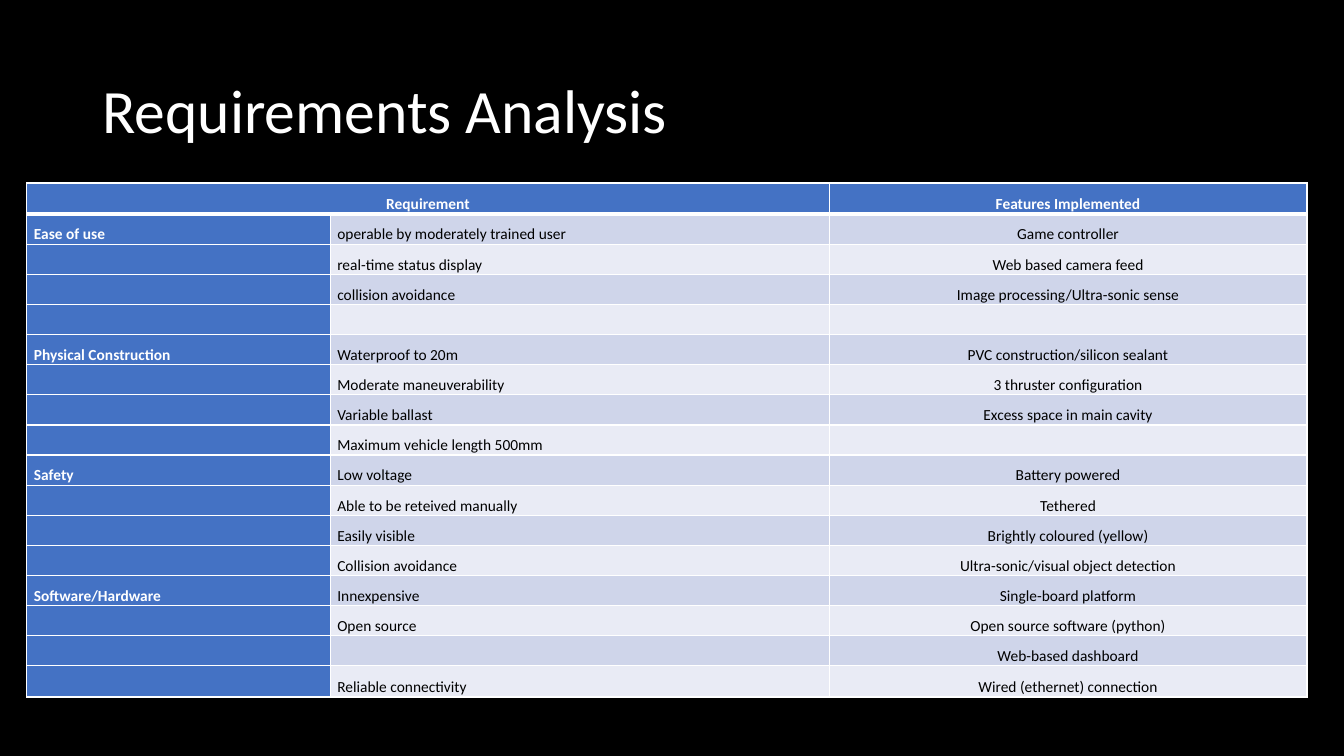
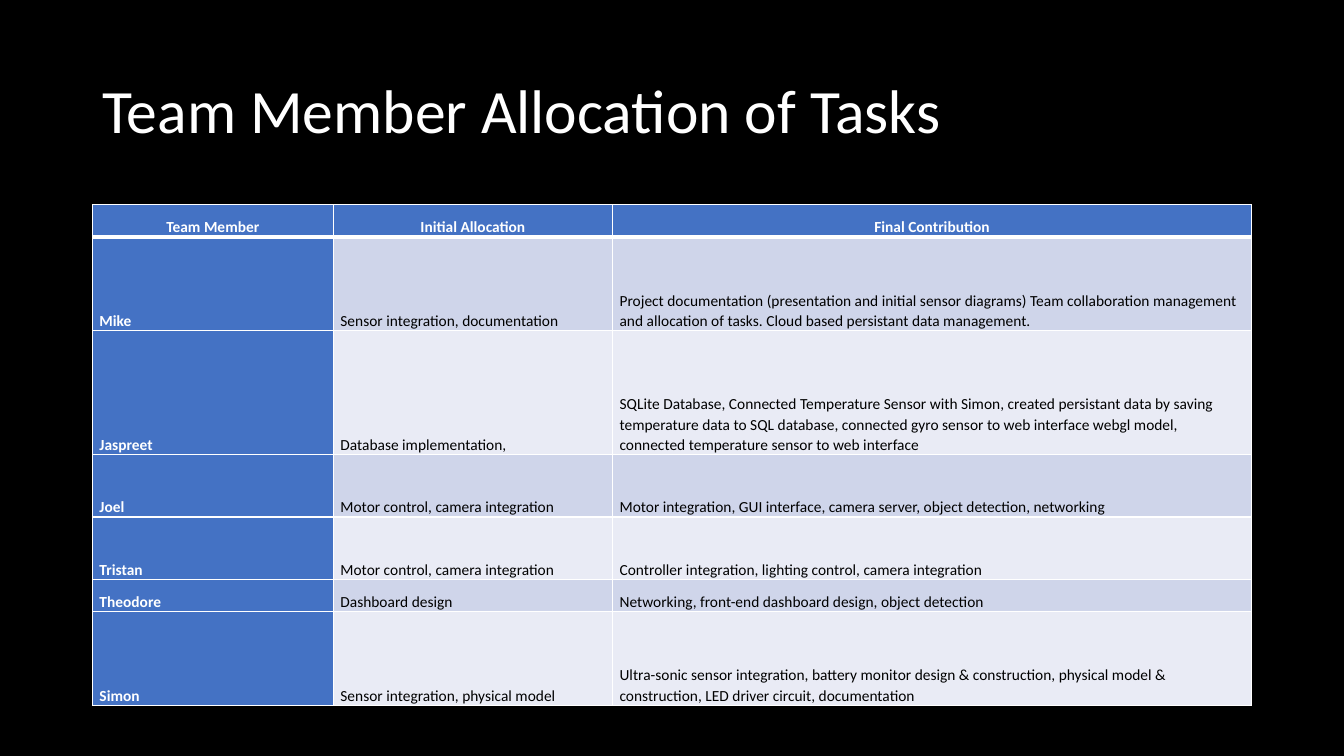
"""Build two dark slides, each with a title and a banded table."""
from dataclasses import dataclass

import pptx
import pptx.dml.color
import pptx.enum.text
import pptx.oxml.ns
import pptx.presentation
import pptx.table
import pptx.text.text
import pptx.util
from lxml import etree

COLORS = {
    "background": "000000",
    "light": "FFFFFF",
    "dark": "000000",
    "accent": "4472C4",
    "odd": "CFD5EA",
    "even": "E9EBF5",
}
FONT = "Calibri"
WIDTH, HEIGHT = pptx.util.Inches(13.33), pptx.util.Inches(7.5)
LEFT, CENTER = pptx.enum.text.PP_ALIGN.LEFT, pptx.enum.text.PP_ALIGN.CENTER
THIN, THICK = 1, 3


@dataclass(frozen=True)
class Box:
    """Position and size in percent of the slide."""
    left: float
    top: float
    width: float
    height: float

    def emu(self) -> tuple[int, int, int, int]:
        """Return left, top, width and height in EMU."""
        return (int(WIDTH * self.left / 100), int(HEIGHT * self.top / 100),
                int(WIDTH * self.width / 100), int(HEIGHT * self.height / 100))


@dataclass(frozen=True)
class TableSlide:
    """Title and table, with column and row sizes as relative weights."""
    title: str
    box: Box
    columns: list[int]
    rows: list[int]
    aligns: list[int]
    cells: list[tuple[str, str, str]]
    merge_header: bool = False


TITLE_BOX = Box(6.88, 5.33, 86.25, 19.33)

SLIDES = [
    TableSlide(
        "Requirements Analysis",
        Box(2, 24.2, 95.25, 68),
        [301, 495, 474],
        [31] + [30] * 15 + [31],
        [LEFT, LEFT, CENTER],
        [
            ("Requirement", "", "Features Implemented"),
            ("Ease of use", "operable by moderately trained user", "Game controller"),
            ("", "real-time status display", "Web based camera feed"),
            ("", "collision avoidance", "Image processing/Ultra-sonic sense"),
            ("", "", ""),
            ("Physical Construction", "Waterproof to 20m", "PVC construction/silicon sealant"),
            ("", "Moderate maneuverability", "3 thruster configuration"),
            ("", "Variable ballast", "Excess space in main cavity"),
            ("", "Maximum vehicle length 500mm", ""),
            ("Safety", "Low voltage", "Battery powered"),
            ("", "Able to be reteived manually", "Tethered"),
            ("", "Easily visible", "Brightly coloured (yellow)"),
            ("", "Collision avoidance", "Ultra-sonic/visual object detection"),
            ("Software/Hardware", "Innexpensive", "Single-board platform"),
            ("", "Open source", "Open source software (python)"),
            ("", "", "Web-based dashboard"),
            ("", "Reliable connectivity", "Wired (ethernet) connection"),
        ],
        merge_header=True,
    ),
    TableSlide(
        "Team Member Allocation of Tasks",
        Box(6.88, 27.07, 86.25, 66.27),
        [239, 277, 634],
        [32, 93, 123, 62, 62, 32, 93],
        [LEFT, LEFT, LEFT],
        [
            ("Team Member", "Initial Allocation", "Final Contribution"),
            ("Mike", "Sensor integration, documentation",
             "Project documentation (presentation and initial sensor diagrams) "
             "Team collaboration management and allocation of tasks. "
             "Cloud based persistant data management."),
            ("Jaspreet", "Database implementation,",
             "SQLite Database, Connected Temperature Sensor with Simon, created "
             "persistant data by saving temperature data to SQL database, connected "
             "gyro sensor to web interface webgl model, connected temperature "
             "sensor to web interface"),
            ("Joel", "Motor control, camera integration",
             "Motor integration, GUI interface, camera server, object detection, networking"),
            ("Tristan", "Motor control, camera integration",
             "Controller integration, lighting control, camera integration"),
            ("Theodore", "Dashboard design",
             "Networking, front-end dashboard design, object detection"),
            ("Simon", "Sensor integration, physical model",
             "Ultra-sonic sensor integration, battery monitor design & construction, "
             "physical model & construction, LED driver circuit, documentation"),
        ],
    ),
]


def rgb(name: str) -> pptx.dml.color.RGBColor:
    """Look up a named colour."""
    return pptx.dml.color.RGBColor.from_string(COLORS[name])


def write(p: pptx.text.text._Paragraph, text: str, size: int, color: str,
          spacing: float, align: int = LEFT, bold: bool = False) -> None:
    """Fill and style one paragraph."""
    p.alignment, p.line_spacing = align, spacing
    p.font.name, p.font.size, p.font.bold = FONT, pptx.util.Pt(size), bold
    p.font.color.rgb = rgb(color)
    if text:
        p.add_run().text = text
    else:
        p._p.get_or_add_endParaRPr().set("sz", str(size * 100))


def set_borders(cell: pptx.table._Cell, top: int, bottom: int) -> None:
    """Outline a cell with light lines of the given widths in points."""
    qn = pptx.oxml.ns.qn
    tc_pr = cell._tc.get_or_add_tcPr()
    for tag, width in (("lnL", THIN), ("lnR", THIN), ("lnT", top), ("lnB", bottom)):
        line = etree.SubElement(tc_pr, qn(f"a:{tag}"), w=str(pptx.util.Pt(width)))
        fill = etree.SubElement(line, qn("a:solidFill"))
        etree.SubElement(fill, qn("a:srgbClr"), val=COLORS["light"])


def draw_cell(cell: pptx.table._Cell, text: str, row: int, column: int, align: int) -> None:
    """Style a cell as header, row label or banded body."""
    label = row == 0 or column == 0
    set_borders(cell, THICK if row == 1 else THIN, THICK if row == 0 else THIN)
    cell.fill.solid()
    cell.fill.fore_color.rgb = rgb("accent" if label else "odd" if row % 2 else "even")
    cell.margin_left = cell.margin_right = pptx.util.Inches(0.07)
    cell.margin_top = cell.margin_bottom = 0
    cell.vertical_anchor = pptx.enum.text.MSO_ANCHOR.BOTTOM
    write(cell.text_frame.paragraphs[0], text, 11, "light" if label else "dark", 1.07,
          CENTER if row == 0 else align, label)


def draw_slide(prs: pptx.presentation.Presentation, item: TableSlide) -> None:
    """Add one slide with its title and table."""
    s = prs.slides.add_slide(prs.slide_layouts[6])
    tf = s.shapes.add_textbox(*TITLE_BOX.emu()).text_frame
    tf.word_wrap = True
    tf.vertical_anchor = pptx.enum.text.MSO_ANCHOR.MIDDLE
    write(tf.paragraphs[0], item.title, 44, "light", 0.9)

    left, top, width, height = item.box.emu()
    table = s.shapes.add_table(len(item.rows), len(item.columns),
                               left, top, width, height).table
    table.first_row = table.horz_banding = False
    for column, weight in zip(table.columns, item.columns):
        column.width = width * weight // sum(item.columns)
    for row, weight in zip(table.rows, item.rows):
        row.height = height * weight // sum(item.rows)
    for i, texts in enumerate(item.cells):
        for j, (text, align) in enumerate(zip(texts, item.aligns)):
            draw_cell(table.cell(i, j), text, i, j, align)
    if item.merge_header:
        table.cell(0, 0).merge(table.cell(0, 1))


def main() -> None:
    """Build and save the presentation."""
    prs = pptx.Presentation()
    prs.slide_width, prs.slide_height = WIDTH, HEIGHT
    fill = prs.slide_master.background.fill
    fill.solid()
    fill.fore_color.rgb = rgb("background")
    for item in SLIDES:
        draw_slide(prs, item)
    prs.save("out.pptx")


if __name__ == "__main__":
    main()
